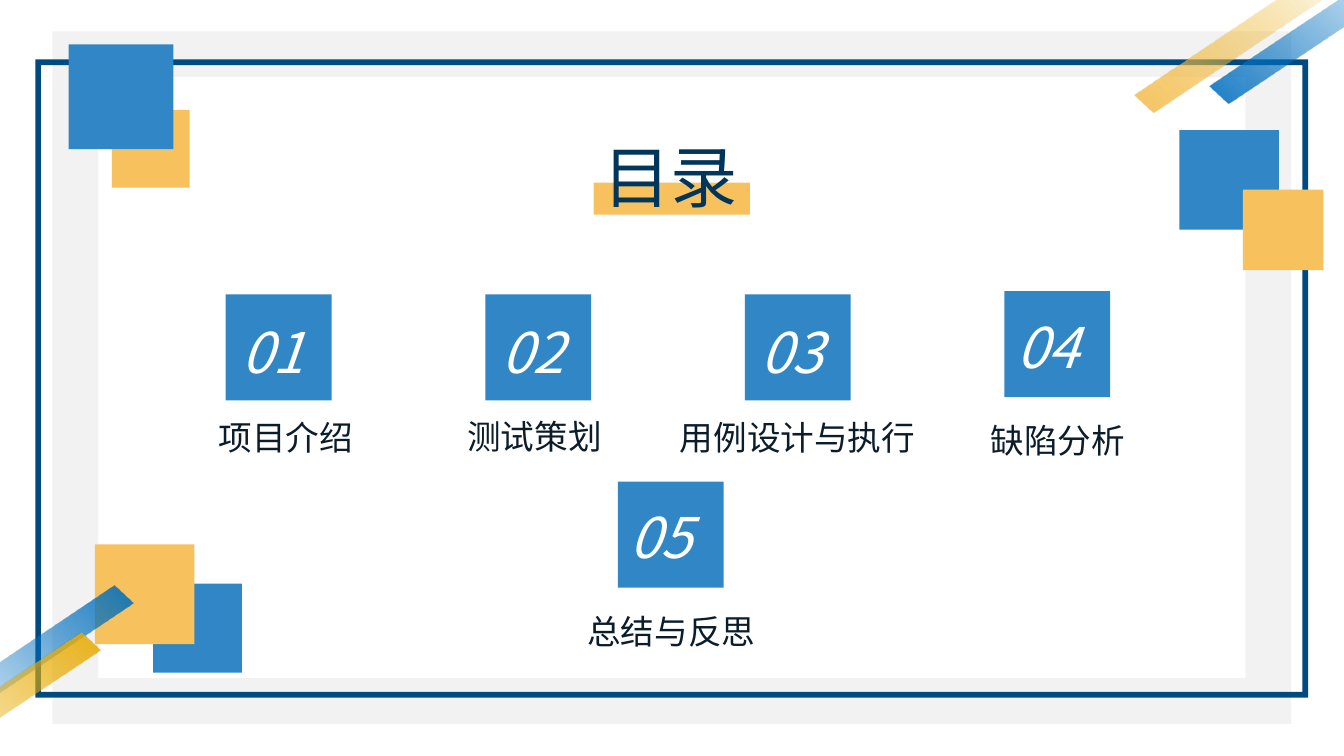
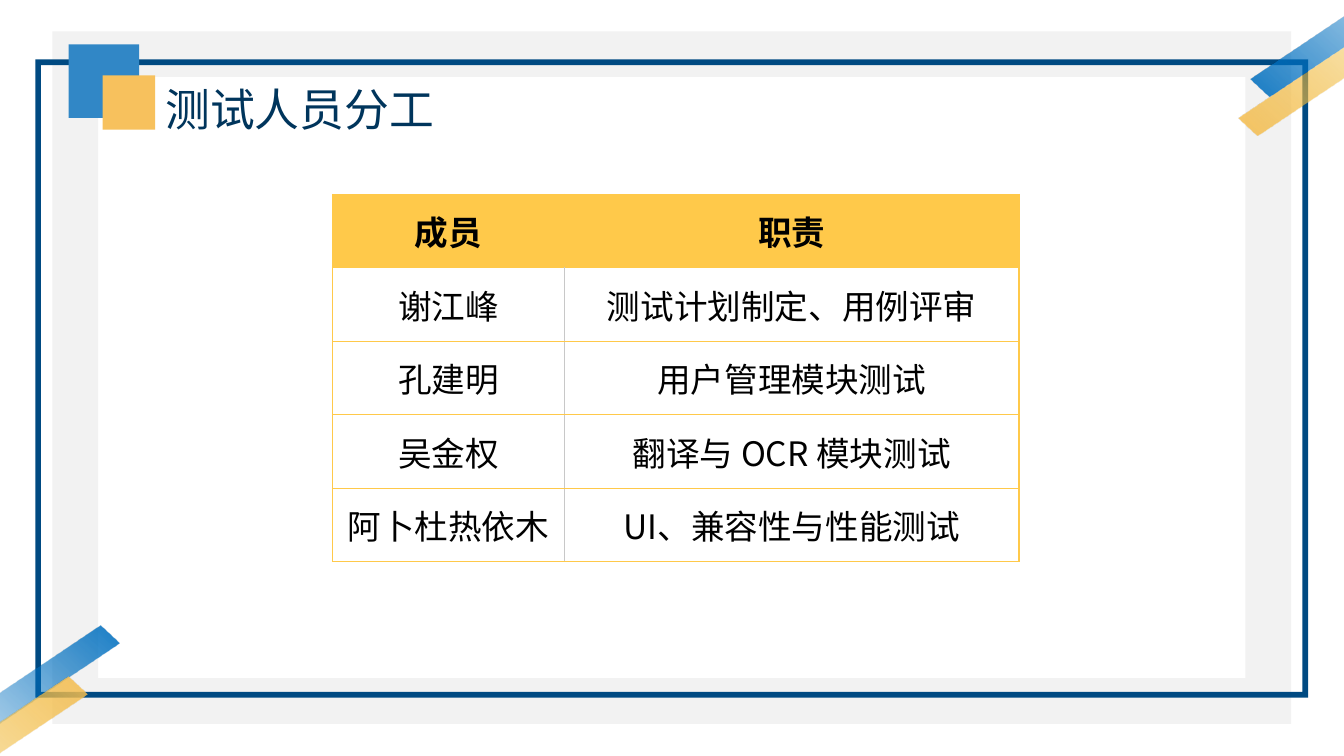
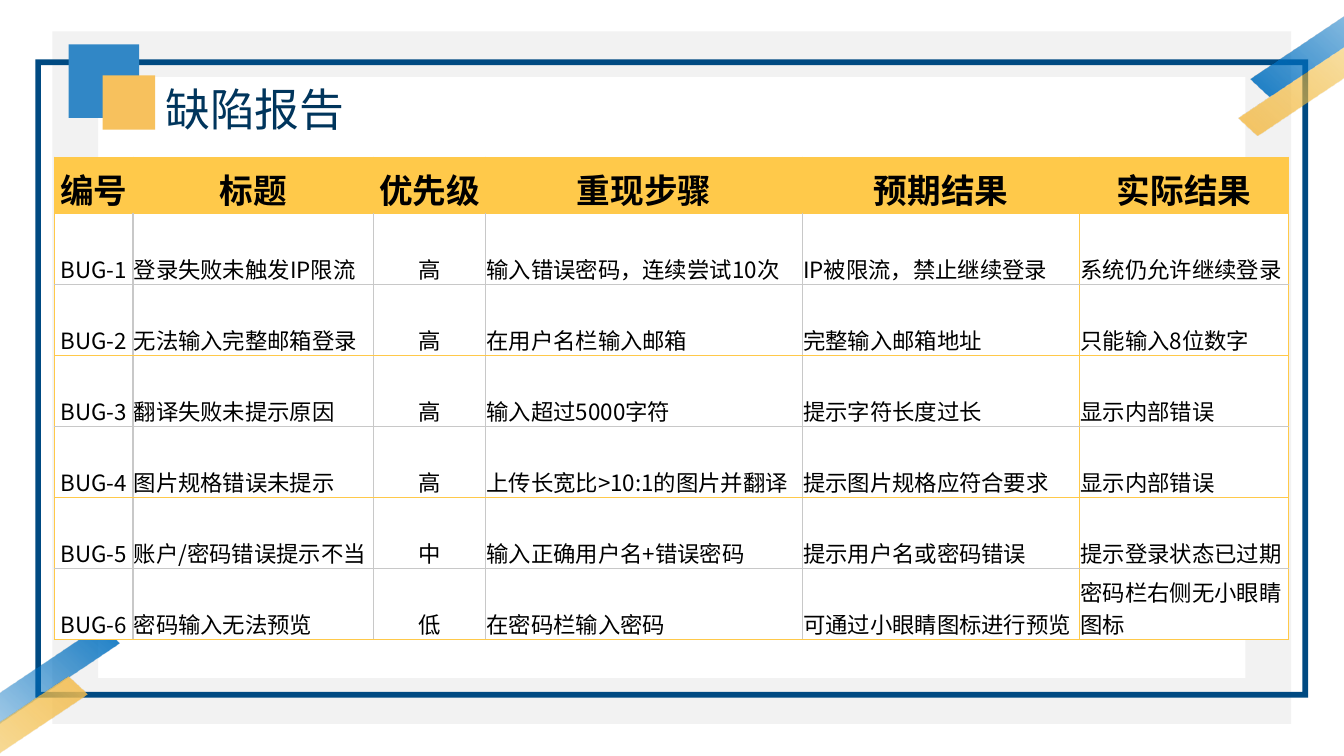
import lxml.etree
import pptx
import pptx.dml.color
import pptx.enum.shapes
import pptx.enum.text
import pptx.oxml.ns
import pptx.util

Cm = pptx.util.Cm
Pt = pptx.util.Pt
qn = pptx.oxml.ns.qn
rgb = pptx.dml.color.RGBColor.from_string
MSO = pptx.enum.shapes.MSO_SHAPE
ALIGN = pptx.enum.text.PP_ALIGN
ANCHOR = pptx.enum.text.MSO_ANCHOR

FONT = "Noto Sans CJK SC"
BLUE, YELLOW, NAVY = "3187C6", "F7C15D", "00355C"
STRIPE_BLUE, STRIPE_GOLD = "0070C0", "E9AC01"
WHITE, BLACK, INK = "FFFFFF", "000000", "0B1D2B"
GOLD, GREY = "FFC94A", "C8C8C8"


def add_box(s, kind, at, color, adj=None):
    sp = s.shapes.add_shape(kind, *[Cm(v) for v in at])
    sp.shadow.inherit = False
    sp.fill.solid()
    sp.fill.fore_color.rgb = rgb(color)
    sp.line.fill.background()
    if adj is not None:
        sp.adjustments[0] = adj
    return sp


def add_run(p, text, size, color, bold=False, italic=False):
    r = p.add_run()
    r.text = text
    r.font.name = FONT
    r.font.size = Pt(size)
    r.font.bold = bold
    r.font.italic = italic
    r.font.color.rgb = rgb(color)
    lxml.etree.SubElement(r._r.get_or_add_rPr(), qn("a:ea"), typeface=FONT)


agenda_squares = [
    ((29.72, 3.28, 2.51, 2.51), BLUE),
    ((2.82, 2.77, 1.96, 1.96), YELLOW),
    ((3.86, 14.71, 2.24, 2.24), BLUE),
    ((1.73, 1.12, 2.64, 2.64), BLUE),
    ((2.39, 13.72, 2.51, 2.51), YELLOW),
    ((31.32, 4.78, 2.03, 2.03), YELLOW),
    ((14.96, 4.6, 3.94, 0.81), YELLOW),
]
agenda_stripes = [
    (-4.65, 16.64, 312.9, STRIPE_BLUE, STRIPE_BLUE),
    (-5.49, 17.83, 312.9, STRIPE_GOLD, STRIPE_GOLD),
    (29.87, -1.35, 132.9, STRIPE_BLUE, STRIPE_BLUE),
    (27.97, -1.12, 132.9, YELLOW, STRIPE_GOLD),
]
content_squares = [
    ((1.73, 1.12, 1.78, 1.85), BLUE),
    ((2.59, 1.9, 1.32, 1.37), YELLOW),
]
content_stripes = [
    (30.58, -0.53, 132.9, YELLOW, STRIPE_GOLD),
    (30.89, -1.52, 132.9, STRIPE_BLUE, STRIPE_BLUE),
    (-5, 17.65, 312.9, STRIPE_BLUE, STRIPE_BLUE),
    (-5.82, 18.95, 312.9, YELLOW, STRIPE_GOLD),
]
pages = [
    ("目录", 48, (14.96, 3.28, 3.94, 2.31), agenda_squares, agenda_stripes),
    ("测试人员分工", 32, (3.91, 1.93, 7.34, 1.63), content_squares, content_stripes),
    ("缺陷报告", 32, (3.91, 1.93, 5.08, 1.63), content_squares, content_stripes),
]

prs = pptx.Presentation()
prs.slide_width, prs.slide_height = Cm(33.87), Cm(19.05)

for title, size, at, squares, stripes in pages:
    s = prs.slides.add_slide(prs.slide_layouts[5])
    add_box(s, MSO.FRAME, (1.32, 0.79, 31.22, 17.45), "F2F2F2", 0.066)
    add_box(s, MSO.FRAME, (0.89, 1.5, 32.08, 16.08), "004A82", 0.009)
    for square_at, color in squares:
        add_box(s, MSO.RECTANGLE, square_at, color)
    for left, top, angle, start, end in stripes:
        sp = add_box(s, MSO.DIAGONAL_STRIPE, (left, top, 8.64, 2.06), start, 0.678)
        sp.rotation = angle
        sp._element.spPr.xfrm.set("flipH", "1")
        sp.fill.gradient()
        sp.fill.gradient_angle = 0
        for stop, color, position in zip(sp.fill.gradient_stops, (start, end), (0, 0.68)):
            stop.color.rgb = rgb(color)
            stop.position = position
        faded = sp._element.spPr.findall(".//" + qn("a:srgbClr"))[-1]
        lxml.etree.SubElement(faded, qn("a:alpha"), val="0")
    sp = s.shapes.title
    sp._element.getparent().append(sp._element)
    sp.left, sp.top, sp.width, sp.height = [Cm(v) for v in at]
    tf = sp.text_frame
    tf.word_wrap = False
    tf.auto_size = pptx.enum.text.MSO_AUTO_SIZE.NONE
    tf.vertical_anchor = ANCHOR.TOP
    p = tf.paragraphs[0]
    p.alignment = ALIGN.LEFT
    add_run(p, title, size, NAVY)

agenda_slide, team_slide, bug_slide = prs.slides

agenda = [
    ("项目介绍", 5.69, 7.42, 0.15, 0.46, 7.2, 10.39),
    ("测试策划", 12.23, 7.42, 0.15, 0.46, 13.47, 10.36),
    ("用例设计与执行", 18.77, 7.42, 0.15, 0.46, 20.1, 10.39),
    ("缺陷分析", 25.31, 7.34, 0.05, 0.41, 26.66, 10.46),
    ("总结与反思", 15.57, 12.14, 0.05, 0.41, 16.92, 15.27),
]
for n, (label, left, top, dx, dy, center, label_top) in enumerate(agenda, 1):
    add_box(agenda_slide, MSO.RECTANGLE, (left, top, 2.67, 2.67), BLUE)
    width = round(0.85 * len(label) + 0.5, 2)
    texts = [
        (f"{n:02}", (left + dx, top + dy, 2.18, 1.96), 40, WHITE, True, ALIGN.LEFT),
        (label, (center - width / 2, label_top, width, 1.27), 24, INK, False, ALIGN.CENTER),
    ]
    for text, at, size, color, italic, align in texts:
        tf = agenda_slide.shapes.add_textbox(*[Cm(v) for v in at]).text_frame
        tf.word_wrap = False
        p = tf.paragraphs[0]
        p.alignment = align
        add_run(p, text, size, color, italic=italic)

team = [
    ("成员", "职责"),
    ("谢江峰", "测试计划制定、用例评审"),
    ("孔建明", "用户管理模块测试"),
    ("吴金权", "翻译与 OCR 模块测试"),
    ("阿卜杜热依木", "UI、兼容性与性能测试"),
]
bugs = [
    ("编号", "标题", "优先级", "重现步骤", "预期结果", "实际结果"),
    ("BUG-1", "登录失败未触发IP限流", "高", "输入错误密码，连续尝试10次", "IP被限流，禁止继续登录", "系统仍允许继续登录"),
    ("BUG-2", "无法输入完整邮箱登录", "高", "在用户名栏输入邮箱", "完整输入邮箱地址", "只能输入8位数字"),
    ("BUG-3", "翻译失败未提示原因", "高", "输入超过5000字符", "提示字符长度过长", "显示内部错误"),
    ("BUG-4", "图片规格错误未提示", "高", "上传长宽比>10:1的图片并翻译", "提示图片规格应符合要求", "显示内部错误"),
    ("BUG-5", "账户/密码错误提示不当", "中", "输入正确用户名+错误密码", "提示用户名或密码错误", "提示登录状态已过期"),
    ("BUG-6", "密码输入无法预览", "低", "在密码栏输入密码", "可通过小眼睛图标进行预览", "密码栏右侧无小眼睛图标"),
]
tables = [
    (team_slide, team, (8.38, 4.9), (5.84, 11.46), (1.85, 1.85), 24,
     ANCHOR.MIDDLE, (0.25, 0.13, 0.25, 0.13), {0, 1}, {1}, set()),
    (bug_slide, bugs, (1.37, 3.96), (1.98, 6.07, 2.82, 7.98, 6.99, 5.26), (1.42, 1.79), 16,
     ANCHOR.BOTTOM, (0.02, 0.02, 0.02, 0), {0, 2}, {1, 2, 3, 4}, {2, 4, 6}),
]
for s, rows, at, widths, (head_height, row_height), size, anchor, margins, centered, grey_cols, grey_rows in tables:
    height = head_height + row_height * (len(rows) - 1)
    tbl = s.shapes.add_table(len(rows), len(widths), *[Cm(v) for v in (*at, sum(widths), height)]).table
    for column, width in zip(tbl.columns, widths):
        column.width = Cm(width)
    for i, row in enumerate(rows):
        head = i == 0
        tbl.rows[i].height = Cm(head_height if head else row_height)
        for j, text in enumerate(row):
            cell = tbl.cell(i, j)
            cell.vertical_anchor = anchor
            cell.margin_left, cell.margin_top, cell.margin_right, cell.margin_bottom = [Cm(v) for v in margins]
            edges = [
                ("a:lnL", not head and j in grey_cols),
                ("a:lnR", not head and j + 1 in grey_cols),
                ("a:lnT", i in grey_rows),
                ("a:lnB", i + 1 in grey_rows),
            ]
            for tag, grey in edges:
                ln = lxml.etree.SubElement(cell._tc.get_or_add_tcPr(), qn(tag), w=str(Pt(1)))
                fill = lxml.etree.SubElement(ln, qn("a:solidFill"))
                lxml.etree.SubElement(fill, qn("a:srgbClr"), val=GREY if grey else GOLD)
            cell.fill.solid()
            cell.fill.fore_color.rgb = rgb(GOLD if head else WHITE)
            p = cell.text_frame.paragraphs[0]
            p.alignment = ALIGN.CENTER if head or j in centered else ALIGN.LEFT
            add_run(p, text, 24 if head else size, BLACK, bold=head)

prs.save("out.pptx")
